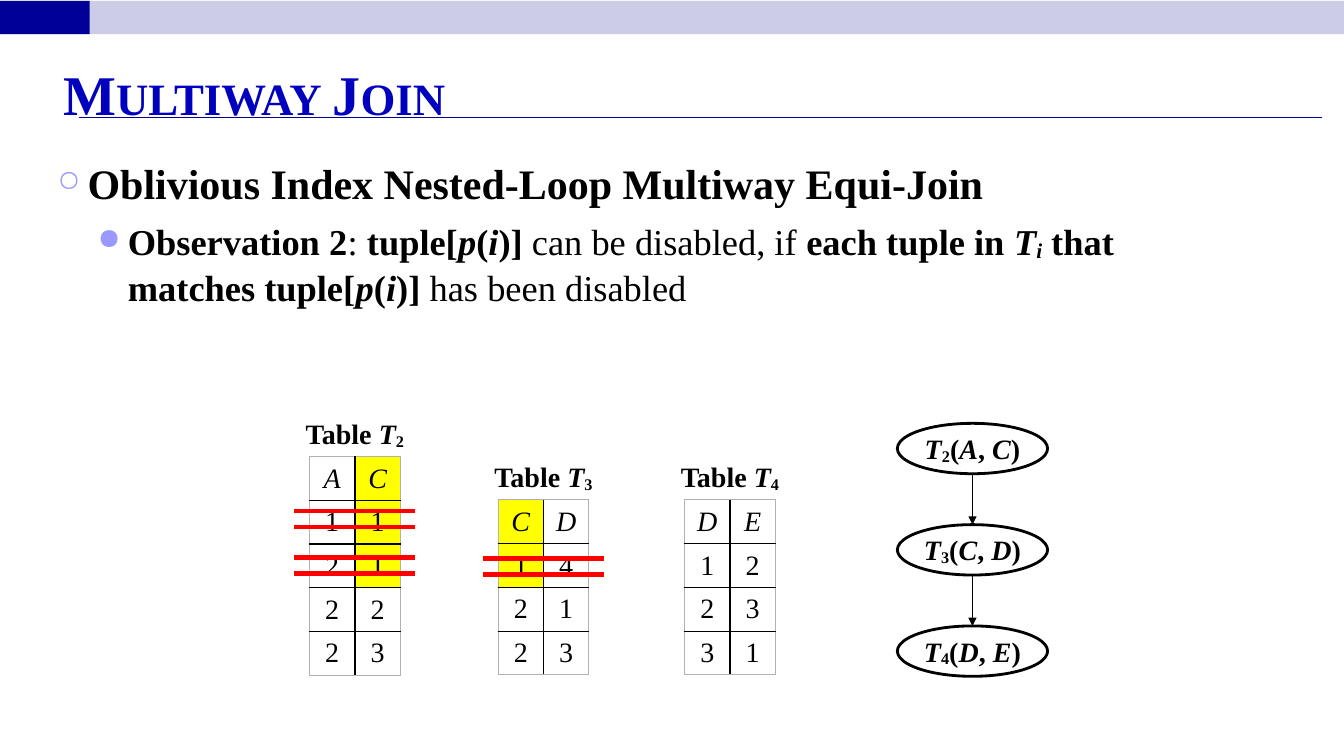
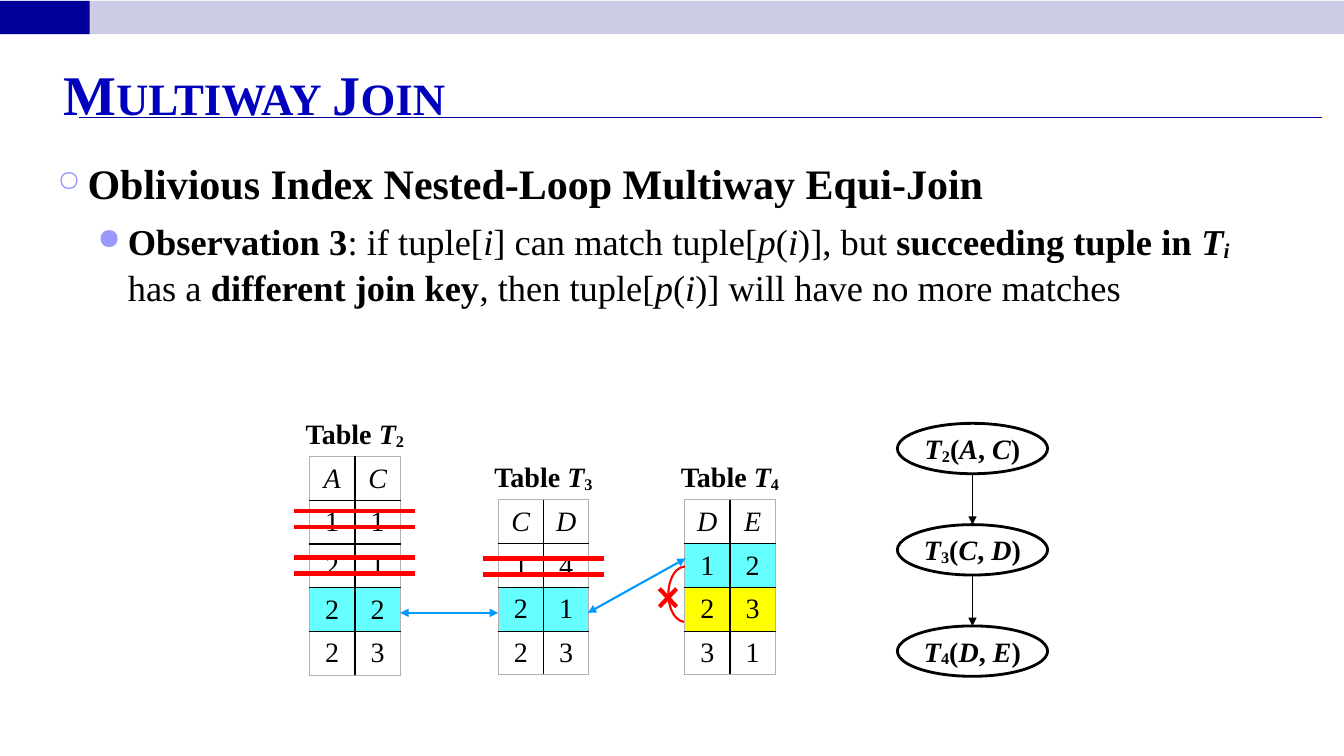
from lxml import etree
from pptx import Presentation
from pptx.dml.color import RGBColor
from pptx.enum.shapes import MSO_CONNECTOR, MSO_SHAPE
from pptx.enum.text import MSO_ANCHOR, PP_ALIGN
from pptx.oxml.ns import qn
from pptx.util import Inches, Pt

STRAIGHT = MSO_CONNECTOR.STRAIGHT
RECTANGLE, OVAL, ARC = MSO_SHAPE.RECTANGLE, MSO_SHAPE.OVAL, MSO_SHAPE.ARC
TOP, MIDDLE, BOTTOM = MSO_ANCHOR.TOP, MSO_ANCHOR.MIDDLE, MSO_ANCHOR.BOTTOM
LEFT, CENTER = PP_ALIGN.LEFT, PP_ALIGN.CENTER

FONT = "Times New Roman"
BLACK = RGBColor(0x00, 0x00, 0x00)
GRAY = RGBColor(0xB2, 0xB2, 0xB2)
NAVY = RGBColor(0x00, 0x00, 0x99)
LAVENDER = RGBColor(0xCC, 0xCC, 0xE6)
TITLE_BLUE = RGBColor(0x00, 0x00, 0xBE)
BULLET_BLUE = RGBColor(0x99, 0x99, 0xFF)
RED = RGBColor(0xFF, 0x00, 0x00)
SKY = RGBColor(0x00, 0x99, 0xFF)
YELLOW = RGBColor(0xFF, 0xFF, 0x00)
CYAN = RGBColor(0x66, 0xFF, 0xFF)

COLUMN_WIDTH = 0.45
STRIKE_GAP = 0.16
OVERHANG = 0.15
TABLES = {
    2: (3.07, 4.53, 0.41, ["AC", "11", "21", "22", "23"]),
    3: (4.94, 4.96, 0.433, ["CD", "14", "21", "23"]),
    4: (6.79, 4.96, 0.433, ["DE", "12", "23", "31"]),
}
STRIKES = [(2, 5.07), (2, 5.53), (3, 5.54)]

HEADING = "Oblivious Index Nested-Loop Multiway Equi-Join"
OBSERVATION_2 = [
    ("Observation 2", "b"), (": ", ""), ("tuple[", "b"), ("p", "bi"), ("(", "b"),
    ("i", "bi"), (")] ", "b"), ("can be disabled, if ", ""), ("each tuple in ", "b"),
    ("T", "bi"), ("i", "bis"), (" that matches tuple[", "b"), ("p", "bi"), ("(", "b"),
    ("i", "bi"), (")]", "b"), (" has been disabled", ""),
]
OBSERVATION_3 = [
    ("Observation 3", "b"), (": if tuple[", ""), ("i", "i"), ("] can match tuple[", ""),
    ("p", "i"), ("(", ""), ("i", "i"), (")], but ", ""), ("succeeding tuple in ", "b"),
    ("T", "bi"), ("i ", "bis"), ("has a ", ""), ("different join key", "b"),
    (", then tuple[", ""), ("p", "i"), ("(", ""), ("i", "i"),
    (")] will have no more matches", ""),
]
HIGHLIGHTS_2 = {
    2: {(row, 1): YELLOW for row in range(3)},
    3: {(row, 0): YELLOW for row in range(2)},
}
HIGHLIGHTS_3 = {
    2: {(3, column): CYAN for column in range(2)},
    3: {(2, column): CYAN for column in range(2)},
    4: {(row, column): color for row, color in ((1, CYAN), (2, YELLOW))
        for column in range(2)},
}


def write(paragraph, text, *, size=20, flags="", color=BLACK, small_caps=False):
    run = paragraph.add_run()
    run.text = text
    font = run.font
    font.name, font.size = FONT, Pt(size)
    font.bold, font.italic = "b" in flags, "i" in flags
    font.color.rgb = color
    properties = run._r.get_or_add_rPr()
    if "s" in flags:
        properties.set("baseline", "-10000")
    if small_caps:
        properties.set("cap", "small")


def add_bullet(paragraph, symbol, percent, indent):
    properties = paragraph._p.get_or_add_pPr()
    properties.set("marL", str(Inches(indent)))
    properties.set("indent", str(Inches(-0.3)))
    color = etree.SubElement(properties, qn("a:buClr"))
    etree.SubElement(color, qn("a:srgbClr"), val=str(BULLET_BLUE))
    etree.SubElement(properties, qn("a:buSzPct"), val=str(percent * 1000))
    etree.SubElement(properties, qn("a:buChar"), char=symbol)


def add_borders(cell, outer_sides):
    properties = cell._tc.get_or_add_tcPr()
    for side in "LRTB":
        color, width = (GRAY, 0.75) if side in outer_sides else (BLACK, 1)
        border = etree.SubElement(properties, qn(f"a:ln{side}"), w=str(Pt(width)))
        fill = etree.SubElement(border, qn("a:solidFill"))
        etree.SubElement(fill, qn("a:srgbClr"), val=str(color))


class Deck:
    def __init__(self):
        self.presentation = Presentation()
        self.presentation.slide_width = Inches(13.33)
        self.presentation.slide_height = Inches(7.5)
        self.slide = None

    def new_slide(self, title):
        layout = self.presentation.slide_layouts[6]
        self.slide = self.presentation.slides.add_slide(layout)
        for width, color in ((13.33, LAVENDER), (0.89, NAVY)):
            self.shape(RECTANGLE, 0, 0.01, width, 0.33, fill=color)
        self.line((0.78, 1.17), (13.11, 1.17), NAVY, 0.75)
        frame = self.text_frame(0.53, 0.52, 12.25, 0.74, anchor=BOTTOM)
        write(frame.paragraphs[0], title, size=40, flags="b", color=TITLE_BLUE,
              small_caps=True)

    def shape(self, kind, left, top, width, height, *, fill=None, line=None, weight=1):
        shape = self.slide.shapes.add_shape(
            kind, Inches(left), Inches(top), Inches(width), Inches(height))
        shape.shadow.inherit = False
        if fill is None:
            shape.fill.background()
        else:
            shape.fill.solid()
            shape.fill.fore_color.rgb = fill
        if line is None:
            shape.line.fill.background()
        else:
            shape.line.color.rgb = line
            shape.line.width = Pt(weight)
        return shape

    def line(self, start, end, color, weight, *, heads=()):
        connector = self.slide.shapes.add_connector(
            STRAIGHT, *(Inches(value) for value in (*start, *end)))
        connector.line.color.rgb = color
        connector.line.width = Pt(weight)
        stroke = connector.line._get_or_add_ln()
        for head in heads:
            etree.SubElement(stroke, qn(f"a:{head}"), type="triangle")
        etree.SubElement(connector._element.spPr, qn("a:effectLst"))

    def text_frame(self, left, top, width, height, *, anchor=TOP, inset=0.1):
        box = self.slide.shapes.add_textbox(
            Inches(left), Inches(top), Inches(width), Inches(height))
        frame = box.text_frame
        frame.word_wrap = True
        frame.vertical_anchor = anchor
        frame.margin_left = frame.margin_right = Inches(inset)
        frame.margin_bottom = 0
        return frame

    def rich_text(self, paragraph, runs, *, size=20, align=CENTER):
        paragraph.alignment = align
        for text, flags in runs:
            write(paragraph, text, size=size, flags=flags)

    def body(self, observation):
        frame = self.text_frame(0.47, 1.49, 11.9, 5.46)
        heading, detail = frame.paragraphs[0], frame.add_paragraph()
        add_bullet(heading, "○", 70, 0.3)
        add_bullet(detail, "●", 80, 0.7)
        detail.level = 1
        detail.space_before = Pt(6)
        heading.line_spacing = detail.line_spacing = 1.05
        self.rich_text(heading, [(HEADING, "b")], size=30, align=LEFT)
        self.rich_text(detail, observation, size=26, align=LEFT)

    def relation(self, number, highlights):
        left, top, row_height, rows = TABLES[number]
        label = self.text_frame(left - OVERHANG, top - 0.45, 1.2, 0.44, inset=0)
        self.rich_text(label.paragraphs[0],
                       [("Table ", "b"), ("T", "bi"), (str(number), "bs")])
        last_row = len(rows) - 1
        table = self.slide.shapes.add_table(
            len(rows), 2, Inches(left), Inches(top),
            Inches(2 * COLUMN_WIDTH), Inches(row_height * len(rows))).table
        table.first_row = table.horz_banding = False
        for column in table.columns:
            column.width = Inches(COLUMN_WIDTH)
        for row, values in enumerate(rows):
            table.rows[row].height = Inches(row_height)
            for column, value in enumerate(values):
                cell = table.cell(row, column)
                outer_sides = "LR"[column]
                outer_sides += {0: "T", last_row: "B"}.get(row, "")
                add_borders(cell, outer_sides)
                color = highlights.get((row, column))
                if color is None:
                    cell.fill.background()
                else:
                    cell.fill.solid()
                    cell.fill.fore_color.rgb = color
                cell.vertical_anchor = MIDDLE
                self.rich_text(cell.text_frame.paragraphs[0],
                               [(value, "" if row else "i")])

    def strike(self, number, top):
        left = TABLES[number][0] - OVERHANG
        for y in (top, top + STRIKE_GAP):
            self.line((left, y), (left + 1.2, y), RED, 3)

    def join_chain(self):
        left, top, width, height, pitch = 8.9, 4.2, 1.49, 0.5, 1.005
        center = left + width / 2
        for step, (number, (_, _, _, rows)) in enumerate(TABLES.items()):
            y = top + step * pitch
            node = self.shape(OVAL, left, y, width, height, line=BLACK, weight=2)
            frame = node.text_frame
            frame.word_wrap = False
            frame.vertical_anchor = MIDDLE
            first, second = rows[0]
            self.rich_text(frame.paragraphs[0], [
                ("T", "bi"), (str(number), "bs"), ("(", "b"), (first, "bi"),
                (", ", "b"), (second, "bi"), (")", "b")])
            if step:
                self.line((center, y - pitch + height), (center, y), BLACK, 1,
                          heads=["tailEnd"])

    def matches(self):
        both_ends = ["headEnd", "tailEnd"]
        self.line((3.97, 6.08), (4.94, 6.08), SKY, 1.5, heads=both_ends)
        self.line((5.83, 6.08), (6.8, 5.54), SKY, 1.5, heads=both_ends)

    def rejected_successor(self):
        step = self.shape(ARC, 6.63, 5.62, 0.33, 0.55, line=RED, weight=1.5)
        step.adjustments[0], step.adjustments[1] = 55.35, 162
        for start, end in ((5.84, 6.02), (6.02, 5.84)):
            self.line((6.54, start), (6.71, end), RED, 3)

    def join_slide(self, observation, highlights):
        self.new_slide("Multiway Join")
        self.body(observation)
        for number in TABLES:
            self.relation(number, highlights.get(number, {}))
        for number, top in STRIKES:
            self.strike(number, top)
        self.join_chain()


def main():
    deck = Deck()
    deck.join_slide(OBSERVATION_2, HIGHLIGHTS_2)
    deck.join_slide(OBSERVATION_3, HIGHLIGHTS_3)
    deck.matches()
    deck.rejected_successor()
    deck.presentation.save("out.pptx")


if __name__ == "__main__":
    main()
